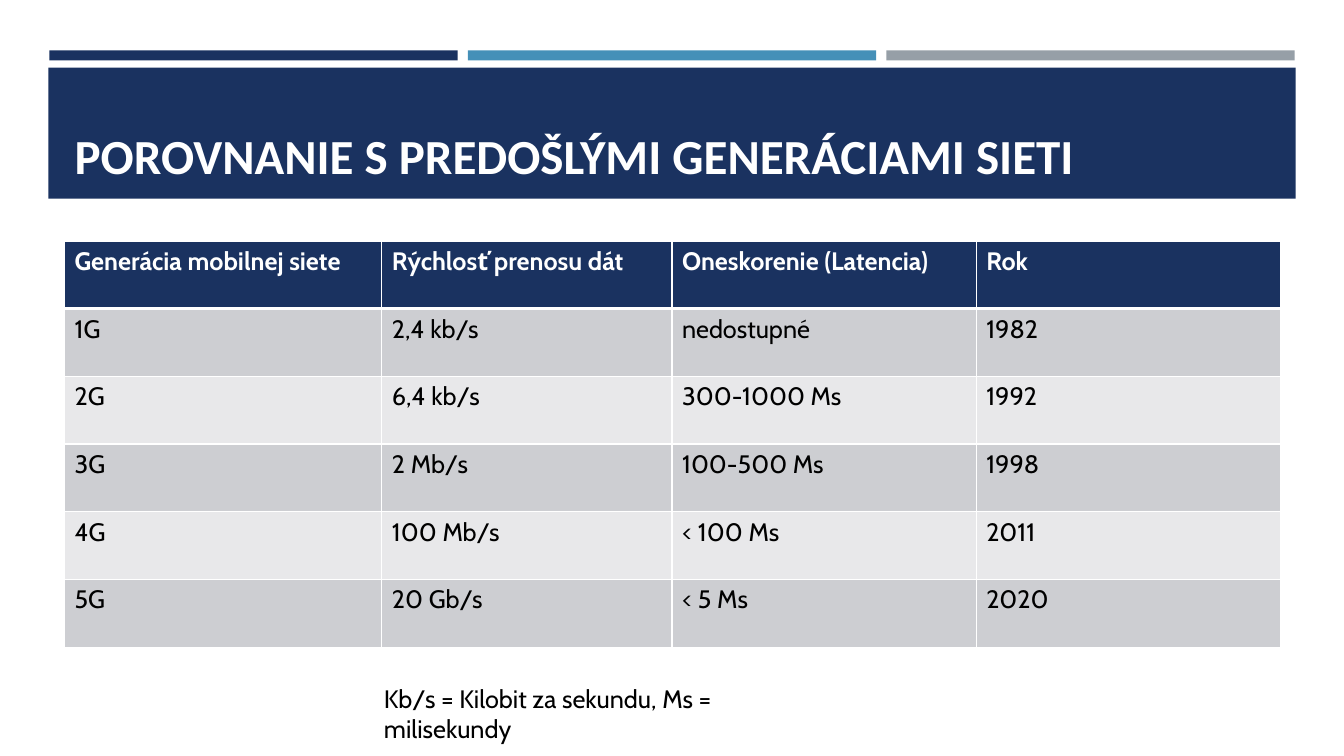
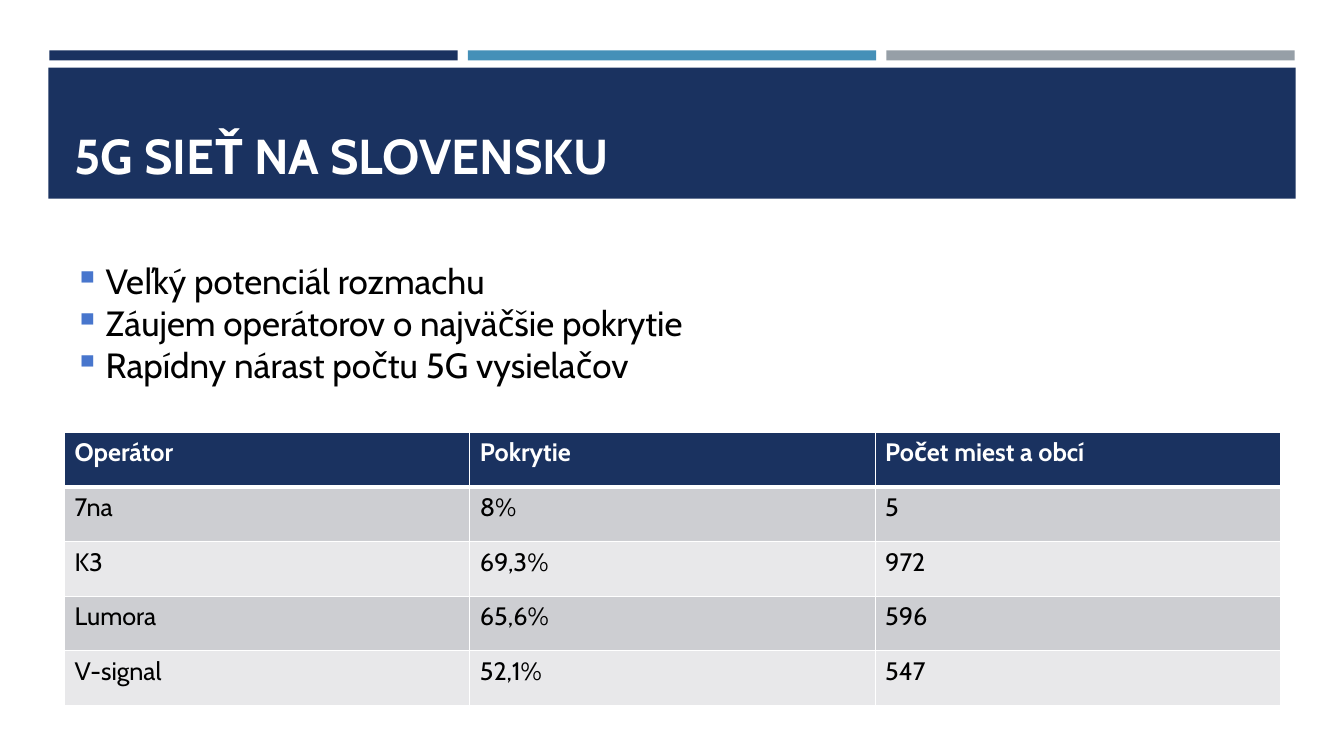
from lxml import etree
from pptx import Presentation
from pptx import util as u
from pptx.dml.color import RGBColor
from pptx.enum import shapes, text
from pptx.oxml import ns

# Content
SLIDES = [
    dict(
        title="POROVNANIE S PREDOŠLÝMI GENERÁCIAMI SIETI", font="Calibri",
        rows=[
            ("Generácia mobilnej siete", "Rýchlosť prenosu dát",
             "Oneskorenie (Latencia)", "Rok"),
            ("1G", "2,4 kb/s", "nedostupné", "1982"),
            ("2G", "6,4 kb/s", "300-1000 Ms", "1992"),
            ("3G", "2 Mb/s", "100-500 Ms", "1998"),
            ("4G", "100 Mb/s", "< 100 Ms", "2011"),
            ("5G", "20 Gb/s", "< 5 Ms", "2020"),
        ],
        cols=(3.15, 2.88, 3.02, 3.02), top=2.39, tall=4.03,
        box=(3.71, 6.73, 4.69, 0.4), size=18, mark=False,
        lines=["Kb/s = Kilobit za sekundu, Ms = milisekundy"],
    ),
    dict(
        title="5G SIEŤ NA SLOVENSKU", font="Cabin",
        rows=[
            ("Operátor", "Pokrytie", "Počet miest a obcí"),
            ("7na", "8%", "5"),
            ("K3", "69,3%", "972"),
            ("Lumora", "65,6%", "596"),
            ("V-signal", "52,1%", "547"),
        ],
        cols=(1, 1, 1), top=4.29, tall=2.71,
        box=(0.64, 2.53, 9.36, 1.67), size=25, mark=True,
        lines=["Veľký potenciál rozmachu",
               "Záujem operátorov o najväčšie pokrytie",
               "Rapídny nárast počtu 5G vysielačov"],
    ),
]

# Shared style
NAVY, BLUE, GRAY, WHITE, BLACK = "1A3260", "4590B8", "969FA7", "FFFFFF", "000000"
STRIPES = ("CDCED2", "E8E8EA")
BULLET = "4876CD"
FONT = "Cabin"
LEFT, WIDE = 0.64, 12.06
BAR, GAP = 4.05, 0.1
INDENT = 0.31


def color(code):
    return RGBColor.from_string(code)


def place(item, *box):
    item.left, item.top, item.width, item.height = map(u.Inches, box)


def write(frame, lines, size=18, font=FONT, ink=BLACK, bold=False, mark=False):
    frame.word_wrap = True
    for i, line in enumerate(lines):
        par = frame.add_paragraph() if i else frame.paragraphs[0]
        par.alignment = text.PP_ALIGN.LEFT
        run = par.add_run()
        run.text = line
        run.font.size = u.Pt(size)
        run.font.name = font
        run.font.bold = bold
        run.font.color.rgb = color(ink)
        if mark:
            bullet(par)


def bullet(par):
    props = par._p.get_or_add_pPr()
    props.set("marL", str(u.Inches(INDENT)))
    props.set("indent", str(-u.Inches(INDENT)))
    tint = etree.SubElement(props, ns.qn("a:buClr"))
    etree.SubElement(tint, ns.qn("a:srgbClr"), val=BULLET)
    etree.SubElement(props, ns.qn("a:buChar"), char="▪")


def border(cell, **widths):
    props = cell._tc.get_or_add_tcPr()
    for side in "LRTB":
        line = etree.SubElement(props, ns.qn("a:ln" + side),
                                w=str(u.Pt(widths.get(side, 1))))
        fill = etree.SubElement(line, ns.qn("a:solidFill"))
        etree.SubElement(fill, ns.qn("a:srgbClr"), val=WHITE)


def band(slide, fill, *box):
    rect = slide.shapes.add_shape(shapes.MSO_SHAPE.RECTANGLE,
                                  *map(u.Inches, box))
    rect.shadow.inherit = False
    rect.fill.solid()
    rect.fill.fore_color.rgb = color(fill)
    rect.line.fill.background()


def head(slide, name, font):
    # Bands first, then the title on top of them
    for i, fill in enumerate((NAVY, BLUE, GRAY)):
        band(slide, fill, 0.49 + i * (BAR + GAP), 0.5, BAR, 0.1)
    band(slide, NAVY, 0.48, 0.67, 12.37, 1.3)
    title = slide.shapes.title
    title.element.getparent().append(title.element)
    place(title, LEFT, 0.77, WIDE, 1.11)
    frame = title.text_frame
    frame.auto_size = text.MSO_AUTO_SIZE.NONE
    frame.vertical_anchor = text.MSO_ANCHOR.BOTTOM
    write(frame, [name], size=35, font=font, ink=WHITE, bold=True)


def grid(slide, rows, cols, top, tall):
    table = slide.shapes.add_table(
        len(rows), len(cols),
        *map(u.Inches, (LEFT, top, WIDE, tall))).table
    for col, share in zip(table.columns, cols):
        col.width = u.Inches(WIDE * share / sum(cols))
    for r, row in enumerate(rows):
        first = r == 0
        for c, value in enumerate(row):
            cell = table.cell(r, c)
            border(cell, T=3 if r == 1 else 1, B=3 if first else 1)
            cell.fill.solid()
            cell.fill.fore_color.rgb = color(
                NAVY if first else STRIPES[(r - 1) % 2])
            write(cell.text_frame, [value],
                  ink=WHITE if first else BLACK, bold=first)


def main():
    deck = Presentation()
    deck.slide_width, deck.slide_height = u.Inches(13.33), u.Inches(7.5)
    for data in SLIDES:
        slide = deck.slides.add_slide(deck.slide_layouts[5])
        head(slide, data["title"], data["font"])
        grid(slide, data["rows"], data["cols"], data["top"], data["tall"])
        note = slide.shapes.add_textbox(*map(u.Inches, data["box"]))
        write(note.text_frame, data["lines"], size=data["size"],
              mark=data["mark"])
    deck.save("out.pptx")


if __name__ == "__main__":
    main()
